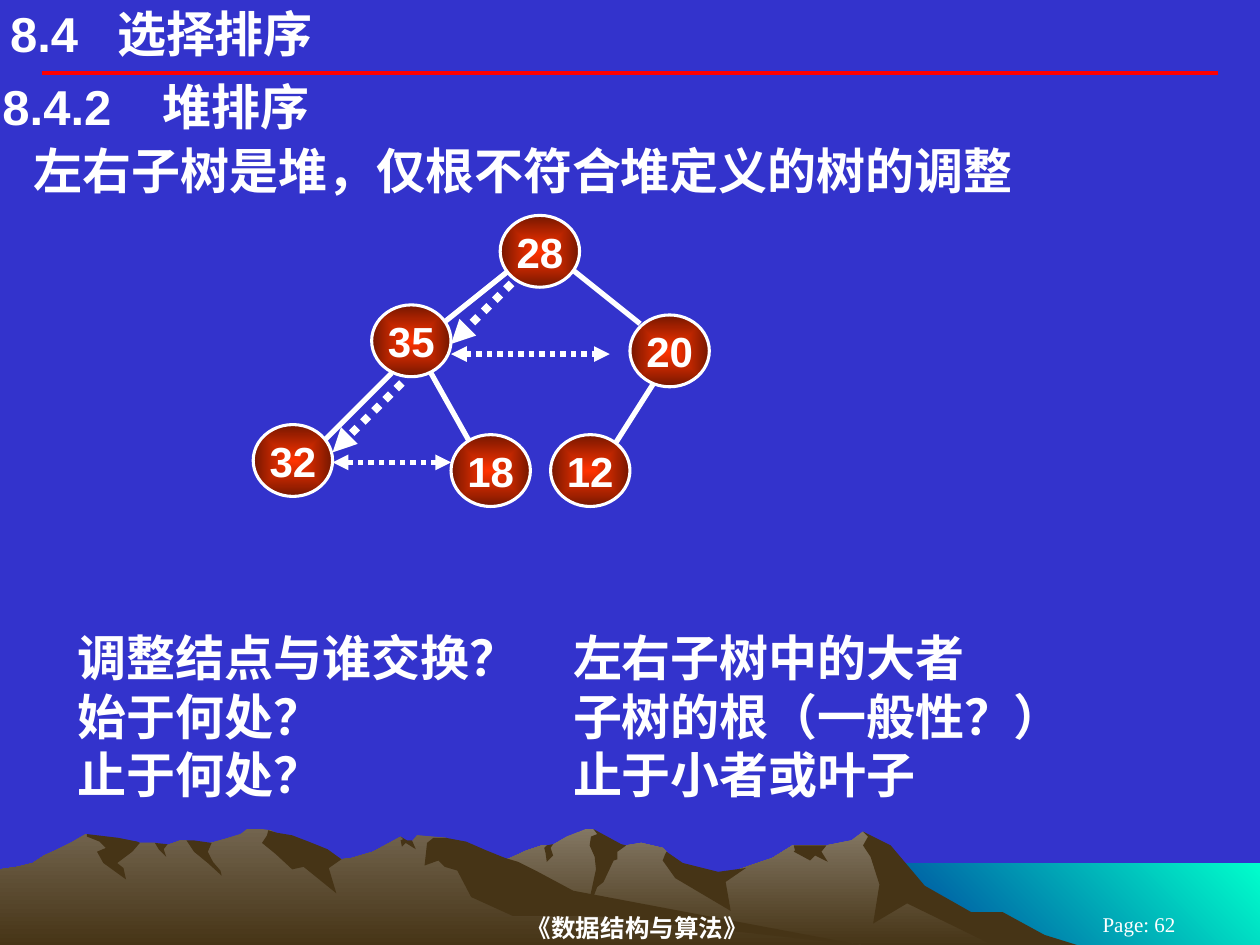
"""Build the heap adjustment slide of a lecture on selection sort."""
import pptx
import pptx.util
import pptx.dml.color
import pptx.enum.dml
import pptx.enum.shapes
import pptx.enum.text
import pptx.oxml
import pptx.oxml.ns

Inches = pptx.util.Inches
Pt = pptx.util.Pt
RGBColor = pptx.dml.color.RGBColor
PP_ALIGN = pptx.enum.text.PP_ALIGN
MSO_ANCHOR = pptx.enum.text.MSO_ANCHOR
qn = pptx.oxml.ns.qn

BLUE = RGBColor(0x33, 0x33, 0xCC)
WHITE = RGBColor(0xFF, 0xFF, 0xFF)
RED = RGBColor(0xFF, 0x00, 0x00)
NODE_CENTRE = RGBColor(0xFF, 0x33, 0x00)
NODE_EDGE = RGBColor(0x75, 0x17, 0x00)
BROWN = RGBColor(0x46, 0x34, 0x16)
FRONT_ROCK = RGBColor(0x72, 0x64, 0x4E)
BACK_ROCK = RGBColor(0x83, 0x77, 0x63)
AQUA = RGBColor(0x00, 0xFF, 0xCC)
NAVY = RGBColor(0x00, 0x33, 0x99)

HEADING, NODE_SIZE, ROOMY = 28, (0.63, 0.57), (0.1, 0.05)

SEA = [(1000, 750), (683, 750), (683, 685), (1000, 685)]
BACK_RANGE = [
    (802, 740), (778, 727), (764, 723), (723, 698), (702, 671), (685, 660), (676, 667),
    (656, 671), (629, 671), (613, 681), (566, 697), (536, 690), (529, 676), (526, 673),
    (509, 669), (497, 671), (486, 673), (474, 661), (471, 658), (465, 658), (450, 664),
    (438, 671), (430, 671), (418, 675), (405, 681), (394, 685), (355, 698), (327, 709),
    (277, 739), (258, 751), (821, 751)]
BACK_SHADOWS = [
    [(796, 724), (771, 724), (734, 703), (707, 671), (685, 660), (689, 664), (685, 671),
     (691, 680), (698, 702), (693, 733), (720, 717), (792, 752), (858, 751), (829, 742)],
    [(471, 658), (474, 662), (469, 664), (468, 671), (472, 680), (473, 690), (465, 727),
     (474, 704), (479, 700), (487, 683), (490, 682), (490, 676), (497, 671), (493, 670)],
    [(529, 676), (528, 678), (526, 683), (536, 697), (580, 723), (576, 700), (592, 689),
     (570, 692), (542, 685)],
    [(650, 671), (630, 671), (631, 675), (630, 676), (643, 683), (647, 679), (657, 684),
     (652, 676), (656, 671)],
    [(433, 677), (432, 673), (434, 671), (439, 670), (437, 673), (439, 679), (434, 684)]]
FRONT_RANGE = [
    (690, 751), (667, 748), (432, 712), (354, 665), (331, 663), (327, 668), (323, 668),
    (318, 664), (296, 676), (279, 681), (271, 682), (260, 676), (236, 681), (223, 663),
    (215, 659), (208, 658), (196, 658), (191, 662), (178, 666), (160, 671), (148, 667),
    (143, 667), (132, 671), (123, 669), (111, 669), (94, 671), (68, 662), (56, 669),
    (46, 674), (35, 679), (26, 685), (14, 688), (0, 690), (0, 751)]
FRONT_SHADOWS = [
    [(212, 663), (208, 669), (219, 678), (232, 690), (241, 688), (267, 709), (261, 689),
     (271, 682), (260, 674), (245, 668), (232, 663), (220, 661), (213, 659)],
    [(370, 668), (354, 665), (344, 665), (339, 669), (337, 687), (348, 683), (353, 688),
     (363, 691), (374, 712), (407, 727), (472, 727), (690, 751), (683, 750), (455, 707),
     (427, 692), (411, 684), (401, 681), (386, 675)],
    [(318, 667), (320, 666), (318, 664), (323, 667), (327, 667), (330, 674), (322, 669),
     (319, 672)],
    [(154, 667), (168, 669), (165, 676), (169, 684), (175, 691), (176, 695), (165, 685),
     (154, 676), (148, 667)],
    [(133, 670), (130, 674), (132, 680), (126, 674), (123, 669)],
    [(109, 668), (111, 669), (105, 676), (93, 685), (98, 689), (100, 698), (82, 685),
     (77, 676), (84, 673), (79, 668), (69, 664), (69, 662), (94, 665)]]

NODES = {"28": (3.97, 1.71), "35": (2.95, 2.42), "32": (2.01, 3.37),
         "18": (3.58, 3.45), "20": (5, 2.5), "12": (4.37, 3.45)}
EDGES = [((4.06, 2.13), (3.51, 2.57)), ((4.53, 2.13), (5.08, 2.57)),
         ((3.11, 2.96), (2.56, 3.51)), ((5.24, 2.96), (4.89, 3.51)),
         ((3.42, 2.96), (3.74, 3.53))]
MOVES = [((4.06, 2.25), (3.58, 2.73)), ((3.19, 3.04), (2.64, 3.59))]
COMPARISONS = [((3.58, 2.81), (4.84, 2.81)), ((2.64, 3.67), (3.58, 3.67))]


class SlidePainter:
    """Draw styled elements on the current slide."""

    def __init__(self, page, font="Arial", color=WHITE):
        self.page, self.font, self.color = page, font, color
        page.background.fill.solid()
        page.background.fill.fore_color.rgb = BLUE

    def gradient(self, shape, first, last, angle=None):
        shape.fill.gradient()
        for stop, color in zip(shape.fill.gradient_stops, (first, last)):
            stop.color.rgb = color
        if angle is not None:
            shape.fill.gradient_angle = angle
            return
        fill = shape._element.spPr.find(qn("a:gradFill"))
        fill.replace(fill.find(qn("a:lin")), pptx.oxml.parse_xml(
            f'<a:path {pptx.oxml.ns.nsdecls("a")} path="rect">'
            '<a:fillToRect l="50000" t="50000" r="50000" b="50000"/></a:path>'))

    def set_text(self, shape, lines, size, inset=(0, 0), align=PP_ALIGN.LEFT,
                 anchor=MSO_ANCHOR.TOP, font=None, bold=True, indent=0, tab=None):
        frame = shape.text_frame
        frame.word_wrap = True
        frame.auto_size = pptx.enum.text.MSO_AUTO_SIZE.NONE
        frame.vertical_anchor = anchor
        frame.margin_left = frame.margin_right = Inches(inset[0])
        frame.margin_top = frame.margin_bottom = Inches(inset[1])
        frame.text = "\n".join(lines)
        for para in frame.paragraphs:
            para.alignment = align
            properties = para._p.get_or_add_pPr()
            if indent:
                properties.set("marL", str(Inches(indent)))
            if tab:
                stops = pptx.oxml.parse_xml(
                    f'<a:tabLst {pptx.oxml.ns.nsdecls("a")}>'
                    f'<a:tab pos="{Inches(tab)}" algn="l"/></a:tabLst>')
                properties.append(stops)
            para.font.name = font or self.font
            para.font.size = Pt(size)
            para.font.bold = bold
            para.font.color.rgb = self.color

    def title(self, text, place, **style):
        box = self.page.shapes.title
        box.left, box.top, box.width, box.height = map(Inches, place)
        self.set_text(box, [text], HEADING, **style)

    def text(self, lines, place, size=HEADING, **style):
        box = self.page.shapes.add_textbox(*map(Inches, place))
        self.set_text(box, lines, size, **style)

    def outline(self, points, first, last=None, angle=270):
        builder = self.page.shapes.build_freeform(*points[0], scale=Inches(0.01))
        builder.add_line_segments(points[1:], close=True)
        shape = builder.convert_to_shape()
        shape.shadow.inherit = False
        shape.line.fill.background()
        if last is None:
            shape.fill.solid()
            shape.fill.fore_color.rgb = first
        else:
            self.gradient(shape, first, last, angle)

    def node(self, label, corner):
        shape = self.page.shapes.add_shape(
            pptx.enum.shapes.MSO_SHAPE.OVAL, *map(Inches, corner + NODE_SIZE))
        shape.shadow.inherit = False
        self.gradient(shape, NODE_CENTRE, NODE_EDGE)
        shape.line.color.rgb = self.color
        shape.line.width = Pt(1.75)
        self.set_text(shape, [label], 24, align=PP_ALIGN.CENTER, anchor=MSO_ANCHOR.MIDDLE)

    def line(self, start, end, width=3, color=None, dotted=False, arrows=()):
        connector = self.page.shapes.add_connector(
            pptx.enum.shapes.MSO_CONNECTOR.STRAIGHT, *map(Inches, start + end))
        connector.line.color.rgb = color or self.color
        connector.line.width = Pt(width)
        if dotted:
            connector.line.dash_style = pptx.enum.dml.MSO_LINE.ROUND_DOT
        properties = connector._element.spPr
        for arrow in arrows:
            tip = pptx.oxml.parse_xml(
                f'<a:{arrow} {pptx.oxml.ns.nsdecls("a")} type="triangle"/>')
            properties.find(qn("a:ln")).append(tip)
        properties.append(pptx.oxml.parse_xml(
            f'<a:effectLst {pptx.oxml.ns.nsdecls("a")}/>'))


def main():
    deck = pptx.Presentation()
    deck.slide_width, deck.slide_height = Inches(10), Inches(7.5)
    painter = SlidePainter(deck.slides.add_slide(deck.slide_layouts[5]))

    painter.outline(SEA, AQUA, NAVY, angle=225)
    for mountains, rock, shadows in ((BACK_RANGE, BACK_ROCK, BACK_SHADOWS),
                                     (FRONT_RANGE, FRONT_ROCK, FRONT_SHADOWS)):
        painter.outline(mountains, rock, BROWN)
        for shadow in shadows:
            painter.outline(shadow, BROWN)
    painter.line((0.33, 0.58), (9.67, 0.58), 2.25, RED)
    footer = dict(align=PP_ALIGN.CENTER, anchor=MSO_ANCHOR.MIDDLE, font="Times New Roman")
    painter.text(["《数据结构与算法》"], (2.03, 7.22, 6.06, 0.28), 14, inset=(0, 0.01), **footer)
    painter.text(["Page: 62"], (8.25, 7.25, 1.58, 0.17), 12, inset=ROOMY, bold=False, **footer)

    painter.title("8.4\t选择排序", (0.08, 0.03, 6.5, 0.47), tab=0.85)
    painter.text(["8.4.2\t堆排序"], (0, 0.6, 10, 0.49), inset=(0.02, 0.01), tab=1.27)
    painter.text(["左右子树是堆，仅根不符合堆定义的树的调整"],
                 (0, 1.07, 9.96, 0.57), inset=ROOMY, indent=0.17)
    painter.text(["调整结点与谁交换？", "始于何处？", "止于何处？"],
                 (0, 4.93, 5.71, 1.5), inset=ROOMY, indent=0.52)
    painter.text(["左右子树中的大者", "子树的根（一般性？）", "止于小者或叶子"],
                 (4.45, 4.93, 4.37, 1.5), inset=ROOMY)

    for start, end in EDGES:
        painter.line(start, end)
    for label, corner in NODES.items():
        painter.node(label, corner)
    for start, end in MOVES:
        painter.line(start, end, 4.5, dotted=True, arrows=("tailEnd",))
    for start, end in COMPARISONS:
        painter.line(start, end, dotted=True, arrows=("headEnd", "tailEnd"))
    deck.save("out.pptx")


if __name__ == "__main__":
    main()
